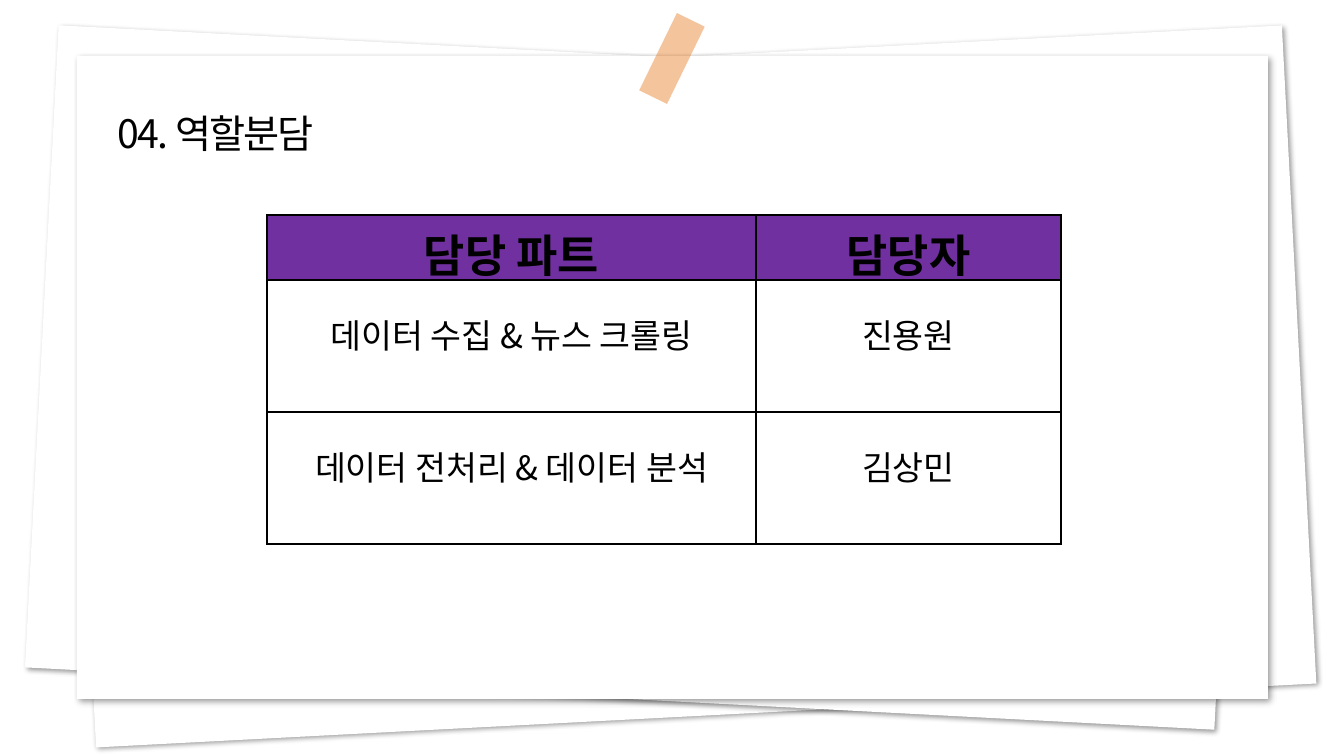
from lxml.etree import SubElement
from pptx import Presentation
from pptx.dml.color import RGBColor
from pptx.enum.shapes import MSO_SHAPE
from pptx.enum.text import PP_ALIGN
from pptx.oxml import parse_xml
from pptx.oxml.ns import nsdecls, qn
from pptx.util import Pt

SCALE = 914400 / 100.8
FONT = "Noto Sans CJK KR"
BLACK, WHITE, PURPLE, ORANGE = "000000", "FFFFFF", "7030A0", "E46C0A"
SHEETS = [(78, 57, 1222, 659, 357), (41, 56, 1191, 643, 3), (77, 56, 1191, 643, 0)]
COLS = [489, 305]
ROWS = [65, 132, 132]
ROLES = [
    ("담당 파트", "담당자"),
    ("데이터 수집 & 뉴스 크롤링", "진용원"),
    ("데이터 전처리 & 데이터 분석", "김상민"),
]


def px(size):
    """Turn pixels into EMU."""
    return round(size * SCALE)


def paint(fill, color):
    """Fill solidly with a hex color."""
    fill.solid()
    fill.fore_color.rgb = RGBColor.from_string(color)


def style(para, text, size, bold=False, gap=0):
    """Write text into a paragraph and set its font."""
    para.text = text
    font = para.font
    font.size, font.bold, font.name = Pt(size), bold, FONT
    font.color.rgb = RGBColor.from_string(BLACK)
    props = para._p.get_or_add_pPr().get_or_add_defRPr()
    SubElement(props, qn("a:ea")).set("typeface", FONT)
    if gap:
        props.set("spc", str(gap))


def add_rect(slide, box, turn, color):
    """Add a plain rotated rectangle."""
    rect = slide.shapes.add_shape(MSO_SHAPE.RECTANGLE, *map(px, box))
    rect.rotation = turn
    rect.shadow.inherit = False
    rect.line.fill.background()
    paint(rect.fill, color)
    return rect


def add_sheet(slide, box, turn):
    """Add a white sheet of paper with a soft shadow."""
    sheet = add_rect(slide, box, turn, WHITE)
    effects = sheet._element.spPr.find(qn("a:effectLst"))
    effects.append(parse_xml(
        f'<a:outerShdw {nsdecls("a")} blurRad="{Pt(4)}" dist="{Pt(3)}" '
        f'dir="2700000" algn="tl" rotWithShape="0"><a:srgbClr val="{BLACK}">'
        '<a:alpha val="40000"/></a:srgbClr></a:outerShdw>'))


def add_tape(slide, box, turn):
    """Add a translucent strip of tape."""
    tape = add_rect(slide, box, turn, ORANGE)
    color = tape._element.spPr.find(f'{qn("a:solidFill")}/{qn("a:srgbClr")}')
    SubElement(color, qn("a:alpha")).set("val", "40000")


def add_title(slide, box, text):
    """Add the slide heading."""
    frame = slide.shapes.add_textbox(*map(px, box)).text_frame
    frame.word_wrap = False
    style(frame.paragraphs[0], text, 28, gap=-140)


def add_edges(cell):
    """Draw thin black borders around a cell."""
    props = cell._tc.get_or_add_tcPr()
    for spot, side in enumerate("LRTB"):
        props.insert(spot, parse_xml(
            f'<a:ln{side} {nsdecls("a")} w="{Pt(1)}"><a:solidFill>'
            f'<a:srgbClr val="{BLACK}"/></a:solidFill></a:ln{side}>'))


def fill_cell(cell, text, head):
    """Write and style one table cell."""
    para = cell.text_frame.paragraphs[0]
    style(para, text, 32 if head else 24, bold=head)
    para.alignment = PP_ALIGN.CENTER
    if head:
        paint(cell.fill, PURPLE)
    else:
        para.line_spacing = 1.5
        cell.fill.background()
    add_edges(cell)


def add_roles(slide, left, top):
    """Add the table of roles."""
    box = (left, top, sum(COLS), sum(ROWS))
    table = slide.shapes.add_table(len(ROWS), len(COLS), *map(px, box)).table
    table.first_row = table.horz_banding = False
    for col, width in zip(table.columns, COLS):
        col.width = px(width)
    for row, height in zip(table.rows, ROWS):
        row.height = px(height)
    for i, texts in enumerate(ROLES):
        for j, text in enumerate(texts):
            fill_cell(table.cell(i, j), text, head=i == 0)


def main():
    """Build and save the slide."""
    deck = Presentation()
    deck.slide_width, deck.slide_height = px(1344), px(756)
    slide = deck.slides.add_slide(deck.slide_layouts[6])
    for *box, turn in SHEETS:
        add_sheet(slide, box, turn)
    add_title(slide, (108, 104, 230, 57), "04. 역할분담")
    add_tape(slide, (629, 43, 86, 31), 296)
    add_roles(slide, 267, 215)
    deck.save("out.pptx")


main()
